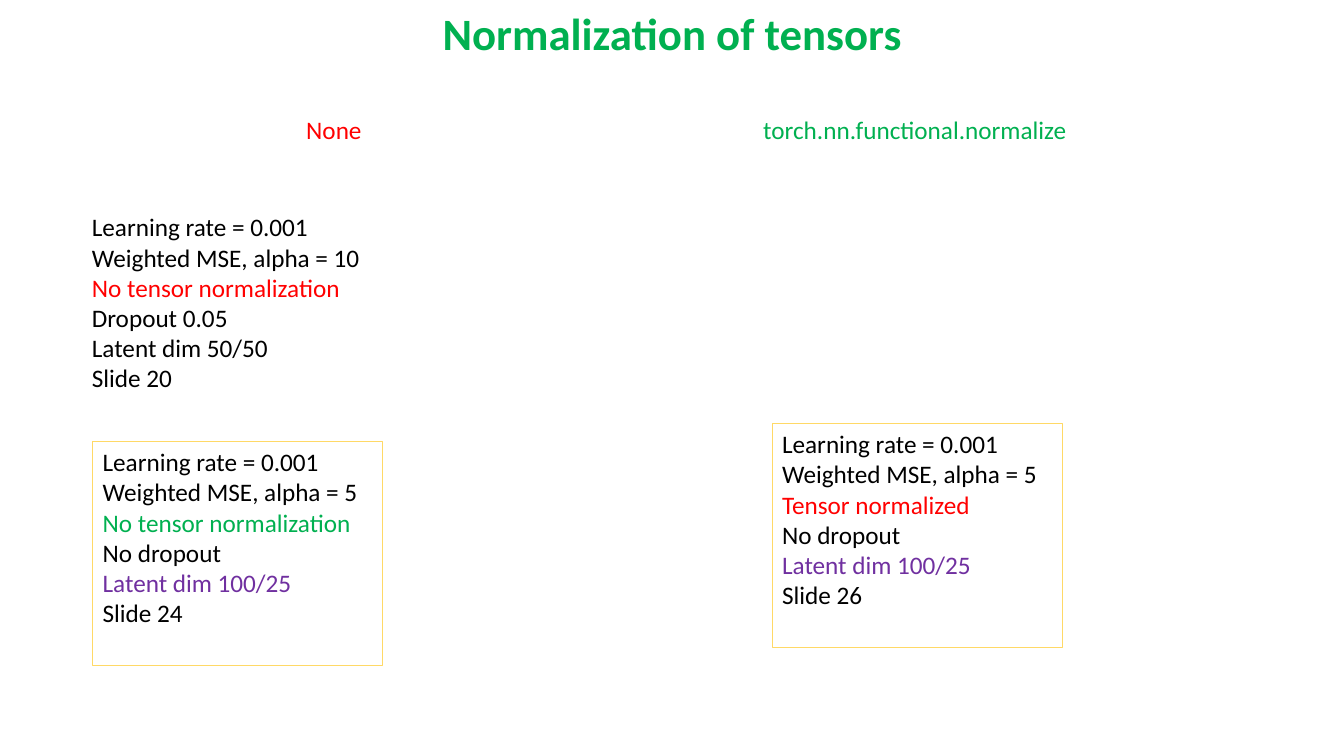
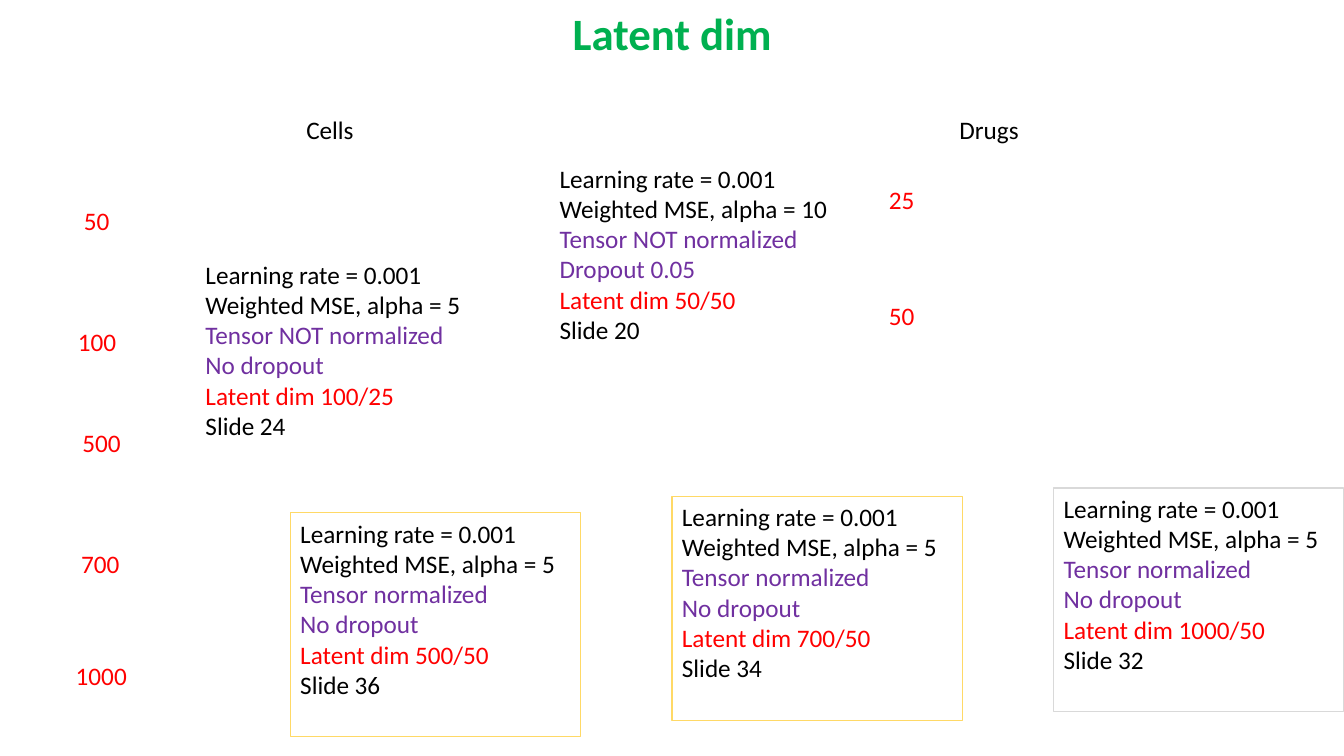
"""Build two slides comparing normalization and latent dimension settings."""
import dataclasses

import pptx
import pptx.dml.color
import pptx.enum.shapes
import pptx.enum.text
import pptx.util


@dataclasses.dataclass(frozen=True)
class Theme:
    """Colours, type and proportions shared by the slides."""
    font: str = "Calibri"
    title_size: int = 32
    text_size: int = 18
    black: str = "000000"
    red: str = "FF0000"
    green: str = "00B050"
    purple: str = "7030A0"
    gold: str = "FFD966"
    grey: str = "D9D9D9"
    border_width: float = 0.75
    width: float = 13.33
    height: float = 7.5
    title_frame: tuple = (6.9, -4.93, 86.25, 19.33)
    card_size: tuple = (21.6, 29.6)
    label_height: float = 5.33
    heading_top: float = 14.4


THEME = Theme()


def place(left, top, width, height):
    """Turn percentages of the slide into a frame in EMU."""
    return (
        pptx.util.Inches(THEME.width * left / 100),
        pptx.util.Inches(THEME.height * top / 100),
        pptx.util.Inches(THEME.width * width / 100),
        pptx.util.Inches(THEME.height * height / 100),
    )


def write(paragraph, text, colour, size=THEME.text_size, bold=False):
    """Add one formatted run to a paragraph."""
    run = paragraph.add_run()
    run.text = text
    run.font.name = THEME.font
    run.font.size = pptx.util.Pt(size)
    run.font.bold = bold
    run.font.color.rgb = pptx.dml.color.RGBColor.from_string(colour)


def add_titled_slide(deck, text):
    """Add a slide whose title is centred at the top."""
    slide = deck.slides.add_slide(deck.slide_layouts[5])
    title = slide.shapes.title
    title.left, title.top, title.width, title.height = place(*THEME.title_frame)
    title.text_frame.vertical_anchor = pptx.enum.text.MSO_ANCHOR.MIDDLE
    heading = title.text_frame.paragraphs[0]
    heading.alignment = pptx.enum.text.PP_ALIGN.CENTER
    heading.line_spacing = 0.9
    write(heading, text, THEME.green, THEME.title_size, True)
    return slide


def add_label(slide, text, left, top, width, colour):
    """Add a one-line label that does not wrap."""
    label = slide.shapes.add_textbox(*place(left, top, width, THEME.label_height))
    label.text_frame.word_wrap = False
    label.text_frame.auto_size = pptx.enum.text.MSO_AUTO_SIZE.SHAPE_TO_FIT_TEXT
    write(label.text_frame.paragraphs[0], text, colour)


def add_dimension(slide, size, left, top):
    """Add a latent dimension, as wide as its digits."""
    text = str(size)
    add_label(slide, text, left, top, 1.5 + 0.95 * len(text), THEME.red)


def add_settings(slide, left, top, alpha, choices, source, border=None):
    """List the settings of a run, in a bordered card if a border is given."""
    frame = place(left, top, *THEME.card_size)
    if border:
        card = slide.shapes.add_shape(pptx.enum.shapes.MSO_SHAPE.RECTANGLE, *frame)
        card.shadow.inherit = False
        card.fill.background()
        card.line.color.rgb = pptx.dml.color.RGBColor.from_string(border)
        card.line.width = pptx.util.Pt(THEME.border_width)
    else:
        card = slide.shapes.add_textbox(*frame)
    body = card.text_frame
    body.word_wrap = True
    body.vertical_anchor = pptx.enum.text.MSO_ANCHOR.TOP
    lines = [
        ("Learning rate = 0.001", THEME.black),
        (f"Weighted MSE, alpha = {alpha}", THEME.black),
        *choices,
        (f"Slide {source}", THEME.black),
    ]
    for index, (text, colour) in enumerate(lines):
        paragraph = body.add_paragraph() if index else body.paragraphs[0]
        paragraph.alignment = pptx.enum.text.PP_ALIGN.LEFT
        write(paragraph, text, colour)


def add_normalization_slide(deck):
    """Compare runs with and without tensor normalization."""
    slide = add_titled_slide(deck, "Normalization of tensors")
    add_label(slide, "None", 22.05, THEME.heading_top, 5.7, THEME.red)
    add_label(slide, "torch.nn.functional.normalize", 56.05, THEME.heading_top,
              24.45, THEME.green)
    runs = [
        (6.1, 27.33, 10, "No tensor normalization", THEME.red,
         "Dropout 0.05", "50/50", THEME.black, 20, None),
        (6.9, 58.4, 5, "No tensor normalization", THEME.green,
         "No dropout", "100/25", THEME.purple, 24, THEME.gold),
        (57.45, 56, 5, "Tensor normalized", THEME.red,
         "No dropout", "100/25", THEME.purple, 26, THEME.gold),
    ]
    for (left, top, alpha, tensor, tensor_colour, dropout, latent,
         latent_colour, source, border) in runs:
        choices = [(tensor, tensor_colour), (dropout, THEME.black),
                   (f"Latent dim {latent}", latent_colour)]
        add_settings(slide, left, top, alpha, choices, source, border)


def add_latent_slide(deck):
    """Compare latent dimensions of cells and drugs."""
    slide = add_titled_slide(deck, "Latent dim")
    add_label(slide, "Cells", 22.05, THEME.heading_top, 5.1, THEME.black)
    add_label(slide, "Drugs", 70.65, THEME.heading_top, 6, THEME.black)
    cells = [(50, 5.5, 26.5), (100, 5.05, 42.55), (500, 5.4, 55.9),
             (700, 5.3, 71.9), (1000, 4.9, 86.7)]
    drugs = [(25, 65.4, 23.7), (50, 65.4, 39.1)]
    for size, left, top in cells + drugs:
        add_dimension(slide, size, left, top)
    runs = [
        (14.55, 33.6, 5, "Tensor NOT normalized", "No dropout", "100/25", 24, None),
        (40.9, 20.9, 10, "Tensor NOT normalized", "Dropout 0.05", "50/50", 20, None),
        (78.4, 64.55, 5, "Tensor normalized", "No dropout", "1000/50", 32, THEME.grey),
        (50, 65.65, 5, "Tensor normalized", "No dropout", "700/50", 34, THEME.gold),
        (21.6, 67.85, 5, "Tensor normalized", "No dropout", "500/50", 36, THEME.gold),
    ]
    for left, top, alpha, tensor, dropout, latent, source, border in runs:
        choices = [(tensor, THEME.purple), (dropout, THEME.purple),
                   (f"Latent dim {latent}", THEME.red)]
        add_settings(slide, left, top, alpha, choices, source, border)


def main():
    """Build and save the deck."""
    deck = pptx.Presentation()
    deck.slide_width = pptx.util.Inches(THEME.width)
    deck.slide_height = pptx.util.Inches(THEME.height)
    add_normalization_slide(deck)
    add_latent_slide(deck)
    deck.save("out.pptx")


if __name__ == "__main__":
    main()
